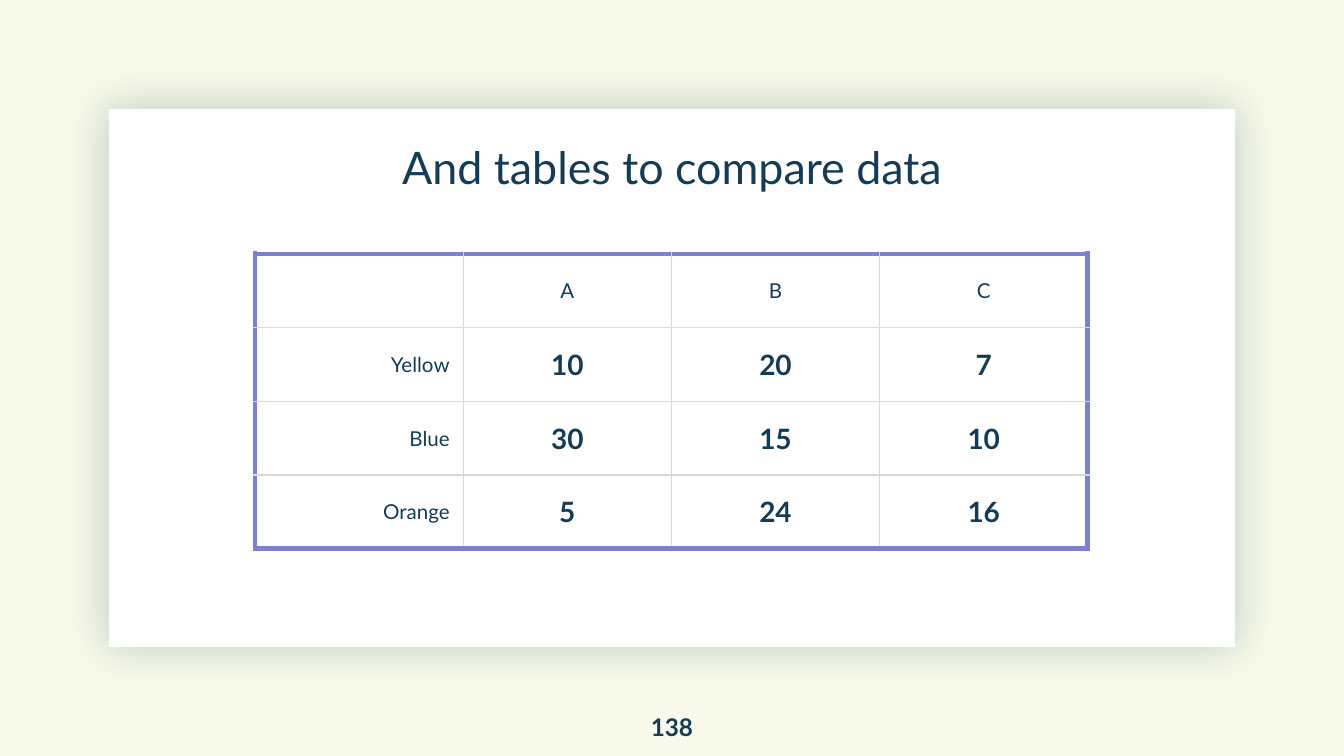
from lxml import etree
from pptx import Presentation
from pptx.dml.color import RGBColor
from pptx.enum.shapes import MSO_SHAPE as Preset
from pptx.enum.text import MSO_ANCHOR as Anchor, MSO_AUTO_SIZE as AutoSize, PP_ALIGN as Align
from pptx.oxml import parse_xml
from pptx.oxml.ns import nsdecls, qn
from pptx.util import Emu, Pt

COLORS = {
    "background": "F7F9EA",
    "card": "FFFFFF",
    "shadow": "054C3A",
    "text": "143C55",
    "frame": "7D7FD0",
    "grid": "D9DAD0",
}
FONT = "Lato"
ROWS = [
    ["", "A", "B", "C"],
    ["Yellow", "10", "20", "7"],
    ["Blue", "30", "15", "10"],
    ["Orange", "5", "24", "16"],
]


def px(length):
    return Emu(round(length * 914400 / 134.4))


def color(name):
    return RGBColor.from_string(COLORS[name])


def write(frame, text, size=11, bold=False, align=Align.CENTER, spacing=None):
    paragraph = frame.paragraphs[0]
    paragraph.alignment = align
    if spacing:
        paragraph.line_spacing = spacing
    run = paragraph.add_run()
    run.text = text
    run.font.name = FONT
    run.font.size = Pt(size)
    run.font.bold = bold
    run.font.color.rgb = color("text")


class SlideBuilder:
    """Hold the slide style and draw each kind of element on the current slide."""

    def __init__(self, presentation):
        self.slide = presentation.slides.add_slide(presentation.slide_layouts[5])
        fill = self.slide.background.fill
        fill.solid()
        fill.fore_color.rgb = color("background")

    def fit(self, frame, anchor):
        frame.margin_left = frame.margin_right = 0
        frame.margin_top = frame.margin_bottom = 0
        frame.auto_size = AutoSize.NONE
        frame.word_wrap = True
        frame.vertical_anchor = anchor

    def card(self, *box):
        shape = self.slide.shapes.add_shape(Preset.RECTANGLE, *map(px, box))
        shape.fill.solid()
        shape.fill.fore_color.rgb = color("card")
        shape.line.fill.background()
        shape.shadow.inherit = False
        effects = shape.element.spPr.find(qn("a:effectLst"))
        effects.append(parse_xml(
            f'<a:outerShdw {nsdecls("a")} blurRad="{Pt(22.5)}" dist="0" dir="0" '
            f'algn="ctr" rotWithShape="0"><a:srgbClr val="{COLORS["shadow"]}">'
            '<a:alpha val="25000"/></a:srgbClr></a:outerShdw>'))
        self.slide.shapes.title.element.addprevious(shape.element)

    def title(self, text, *box):
        title = self.slide.shapes.title
        title.left, title.top, title.width, title.height = map(px, box)
        self.fit(title.text_frame, Anchor.BOTTOM)
        write(title.text_frame, text, size=24, spacing=0.9)

    def label(self, text, *box, **style):
        frame = self.slide.shapes.add_textbox(*map(px, box)).text_frame
        self.fit(frame, Anchor.MIDDLE)
        write(frame, text, **style)

    def borders(self, cell, outer_sides):
        properties = cell._tc.get_or_add_tcPr()
        for side in "LRTB":
            name, width = ("frame", 3) if outer_sides[side] else ("grid", 0.75)
            line = etree.SubElement(properties, qn(f"a:ln{side}"), w=str(Pt(width)))
            fill = etree.SubElement(line, qn("a:solidFill"))
            etree.SubElement(fill, qn("a:srgbClr"), val=COLORS[name])

    def table(self, rows, *box):
        last_row, last_column = len(rows) - 1, len(rows[0]) - 1
        table = self.slide.shapes.add_table(len(rows), len(rows[0]), *map(px, box)).table
        table.first_row = table.horz_banding = False
        for i, row in enumerate(rows):
            for j, text in enumerate(row):
                cell = table.cell(i, j)
                self.borders(cell, {"L": j == 0, "R": j == last_column,
                                    "T": i == 0, "B": i == last_row})
                cell.fill.background()
                cell.vertical_anchor = Anchor.MIDDLE
                cell.margin_left = cell.margin_right = Pt(7.2)
                cell.margin_top = cell.margin_bottom = Pt(5)
                is_value = i > 0 and j > 0
                if text:
                    write(cell.text_frame, text, size=15 if is_value else 11,
                          bold=is_value, align=Align.CENTER if j else Align.RIGHT)


def main():
    presentation = Presentation()
    presentation.slide_width, presentation.slide_height = px(1344), px(756)
    builder = SlideBuilder(presentation)
    builder.card(109, 109, 1126, 538)
    builder.title("And tables to compare data", 159, 144, 1026, 50)
    builder.table(ROWS, 255, 254, 833, 295)
    builder.label("138", 632, 698, 80, 58, size=13, bold=True)
    presentation.save("out.pptx")


if __name__ == "__main__":
    main()
